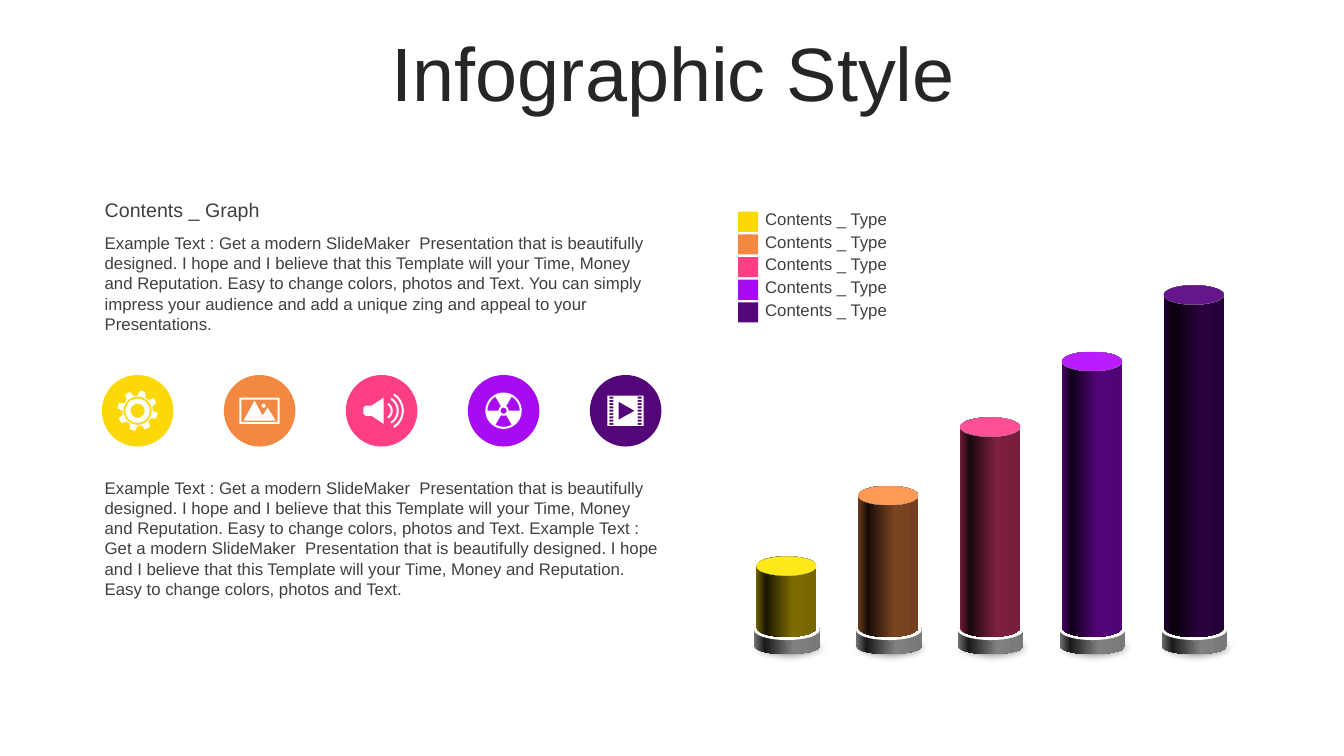
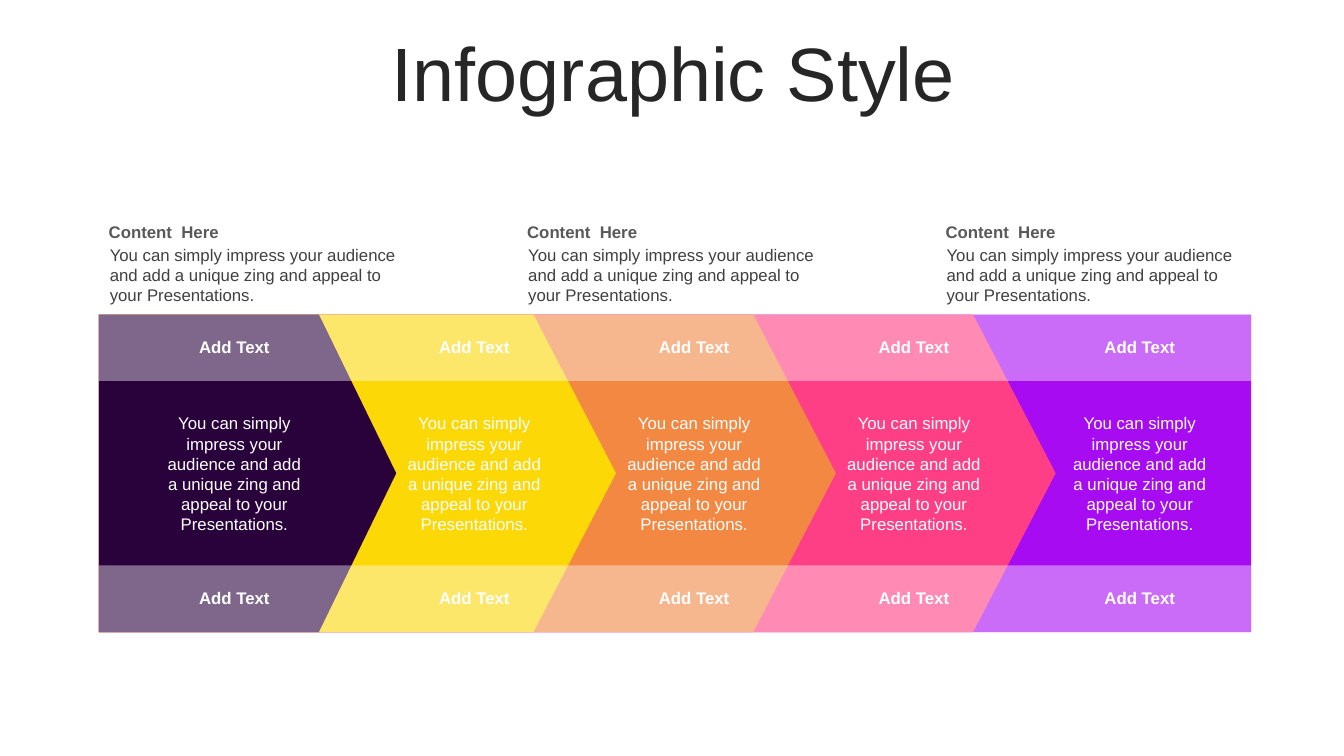
"""Build two infographic slides: a cylinder chart with icons, and a chevron process."""
from copy import deepcopy
from math import cos, radians, sin

from lxml.etree import SubElement
from pptx import Presentation
from pptx.dml.color import RGBColor
from pptx.enum.shapes import MSO_SHAPE
from pptx.enum.text import MSO_ANCHOR, PP_ALIGN
from pptx.oxml.ns import qn
from pptx.util import Inches, Pt


class Theme:
    font = "Arial"
    title_size, heading_size, body_size = 54, 14, 12
    title = RGBColor(0x26, 0x26, 0x26)
    heading = RGBColor(0x59, 0x59, 0x59)
    body = RGBColor(0x40, 0x40, 0x40)
    gray = RGBColor(0x80, 0x80, 0x80)
    white = RGBColor(0xFF, 0xFF, 0xFF)
    yellow = RGBColor(0xFC, 0xD8, 0x07)
    orange = RGBColor(0xF3, 0x88, 0x43)
    pink = RGBColor(0xFF, 0x3F, 0x85)
    violet = RGBColor(0xA7, 0x0B, 0xF2)
    purple = RGBColor(0x53, 0x05, 0x79)
    night = RGBColor(0x29, 0x02, 0x3C)
    series = (yellow, orange, pink, violet, purple)
    steps = (night, yellow, orange, pink, violet)


def add_shape(s, kind, x, y, w, h, color, shaded=False):
    sp = s.shapes.add_shape(kind, Inches(x), Inches(y), Inches(w), Inches(h))
    sp.shadow.inherit = False
    sp.line.fill.background()
    if not shaded:
        sp.fill.solid()
        sp.fill.fore_color.rgb = color
        return sp
    sp.fill.gradient()
    sp.fill.gradient_angle = 0
    gs_list = sp._element.spPr.find(qn("a:gradFill")).find(qn("a:gsLst"))
    for _ in range(2):
        gs_list.append(deepcopy(gs_list[-1]))
    shades = ((0, 0.9), (0.16, 0.2), (0.6, 1), (1, 0.95))
    for stop, (position, factor) in zip(sp.fill.gradient_stops, shades):
        stop.position = position
        stop.color.rgb = RGBColor(*(int(v * factor) for v in color))
    return sp


def add_text(s, x, y, w, h, text, color=Theme.body, size=Theme.body_size,
             bold=False, align=PP_ALIGN.LEFT, anchor=MSO_ANCHOR.TOP):
    tf = s.shapes.add_textbox(Inches(x), Inches(y), Inches(w), Inches(h)).text_frame
    tf.word_wrap = True
    tf.vertical_anchor = anchor
    p = tf.paragraphs[0]
    p.text = text
    p.alignment = align
    font = p.runs[0].font
    font.name, font.size, font.bold = Theme.font, Pt(size), bold
    font.color.rgb = color
    return p


prs = Presentation()
prs.slide_width, prs.slide_height = Inches(13.33), Inches(7.5)
slides = [prs.slides.add_slide(prs.slide_layouts[6]) for _ in range(2)]
for s in slides:
    p = add_text(s, 0.35, 0.37, 12.66, 0.79, "Infographic Style", Theme.title,
                 Theme.title_size, align=PP_ALIGN.CENTER, anchor=MSO_ANCHOR.MIDDLE)
    p.line_spacing = 0.9

graph, process = slides

column_tops = (5.52, 4.82, 4.14, 3.49, 2.83)
for i, (color, top) in enumerate(zip(Theme.series, column_tops)):
    x = 7.48 + 1.01 * i
    shadow = add_shape(graph, MSO_SHAPE.OVAL, x - 0.12, 6.27, 0.93, 0.31, Theme.gray)
    effects = shadow._element.spPr.find(qn("a:effectLst"))
    SubElement(effects, qn("a:softEdge"), rad=str(Inches(0.08)))
    base = add_shape(graph, MSO_SHAPE.CAN, x, 6.17, 0.65, 0.32, Theme.gray, shaded=True)
    base.adjustments[0] = 0.5
    add_shape(graph, MSO_SHAPE.OVAL, x, 6.15, 0.65, 0.2, Theme.white)
    half = RGBColor(*(v // 2 for v in color))
    column = add_shape(graph, MSO_SHAPE.CAN, x + 0.02, top, 0.6, 6.32 - top, half, shaded=True)
    column.adjustments[0] = 0.32
    light = RGBColor(*(min(v + 17, 255) for v in color))
    add_shape(graph, MSO_SHAPE.OVAL, x + 0.02, top, 0.6, 0.19, light)

    y = 2.1 + 0.225 * i
    add_shape(graph, MSO_SHAPE.RECTANGLE, 7.32, y, 0.2, 0.2, color)
    add_text(graph, 7.49, y - 0.08, 1.43, 0.3, "Contents _ Type", anchor=MSO_ANCHOR.MIDDLE)

intro = ("Example Text : Get a modern SlideMaker  Presentation that is beautifully designed. "
         "I hope and I believe that this Template will your Time, Money and Reputation. "
         "Easy to change colors, photos and Text.")
appeal = "impress your audience and add a unique zing and appeal to your Presentations."
add_text(graph, 0.94, 1.91, 5.73, 0.34, "Contents _ Graph", size=Theme.heading_size)
add_text(graph, 0.94, 2.26, 5.73, 1.11, f"{intro} You can simply {appeal}")
add_text(graph, 0.94, 4.69, 5.73, 1.31, f"{intro} {intro}")

gear = [[arc for a in range(-75, 285, 45)
         for arc in ((0, 0, 0.2, a - 8, a + 8), (0, 0, 0.15, a + 15, a + 30))]]
gear += [[(0, 0, r, 0, 360)] for r in (0.14, 0.12, 0.07)]
photo = [[(-w, -h), (w, -h), (w, h), (-w, h)] for w, h in ((0.2, 0.13), (0.18, 0.11))]
photo += [[(-0.05, -0.1), (0.03, 0.05), (0.08, -0.03), (0.16, 0.1), (-0.16, 0.1)],
          [(0.04, -0.05, 0.02, 0, 360)]]
speaker = [[(0.02, -0.13), (0.02, 0.13), (-0.1, 0.05), (-0.16, 0.05), (-0.18, 0.03),
            (-0.18, -0.03), (-0.16, -0.05), (-0.1, -0.05)]]
speaker += [[(0.02, 0, r, -58, 58), (0.02, 0, r - 0.02, 58, -58)] for r in (0.09, 0.15, 0.2)]
radiation = [[(0, 0, r, 0, 360)] for r in (0.18, 0.03)]
radiation += [[(0, 0, 0.16, a, a + 60), (0, 0, 0.05, a + 60, a)] for a in (60, 180, 300)]
film = [[(-0.18, -0.15), (0.18, -0.15), (0.18, 0.15), (-0.18, 0.15)],
        [(-0.07, -0.09), (0.09, 0), (-0.07, 0.09)]]
for row in range(9):
    y = -0.14 + 0.0325 * row
    film += [[(x, y), (x + 0.04, y), (x + 0.04, y + 0.02), (x, y + 0.02)]
             for x in (-0.16, 0.12)]

icons = (gear, photo, speaker, radiation, film)
for i, (color, icon) in enumerate(zip(Theme.series, icons)):
    x, y, size = 1.01 + 1.21 * i, 3.72, 0.71
    add_shape(graph, MSO_SHAPE.OVAL, x, y, size, size, color)
    builder = None
    for contour in icon:
        points = []
        for part in contour:
            if len(part) == 2:
                points.append(part)
                continue
            cx, cy, r, start, end = part
            count = max(2, abs(end - start) // 6)
            angles = [radians(start + (end - start) * k / count) for k in range(count + 1)]
            points += [(cx + r * cos(a), cy + r * sin(a)) for a in angles]
        points = [(Inches(x + size / 2 + px), Inches(y + size / 2 + py)) for px, py in points]
        if builder is None:
            builder = graph.shapes.build_freeform(*points[0])
        else:
            builder.move_to(*points[0])
        builder.add_line_segments(points[1:], close=True)
    sp = builder.convert_to_shape()
    sp.shadow.inherit = False
    sp.fill.solid()
    sp.fill.fore_color.rgb = Theme.white
    sp.line.fill.background()

left, top, height, full_width = 0.98, 3.12, 3.15, 11.43
for i, color in reversed(list(enumerate(Theme.steps))):
    last = i == len(Theme.steps) - 1
    width = full_width if last else 2.95 + 2.18 * i
    arrow = add_shape(process, MSO_SHAPE.PENTAGON, left, top, width, height, color)
    arrow.adjustments[0] = 0 if last else 0.26

for y in (top, 5.61):
    band = add_shape(process, MSO_SHAPE.RECTANGLE, left, y, full_width, 0.66, Theme.white)
    rgb = band._element.spPr.find(qn("a:solidFill"))[0]
    SubElement(rgb, qn("a:alpha"), val="40000")

for x in (1.54, 3.92, 6.1, 8.28, 10.52):
    add_text(process, x, 4.05, 1.57, 1.31, f"You can simply {appeal}", Theme.white,
             align=PP_ALIGN.CENTER)
    for y in (3.29, 5.78):
        add_text(process, x, y, 1.57, 0.3, "Add Text", Theme.white, bold=True,
                 align=PP_ALIGN.CENTER)

for i in range(3):
    x = left + 4.15 * i
    add_text(process, x, 2.15, 3.12, 0.3, "Content  Here", Theme.heading, bold=True,
             anchor=MSO_ANCHOR.MIDDLE)
    add_text(process, x + 0.01, 2.38, 3.11, 0.71, f"You can simply {appeal}")

prs.save("out.pptx")
